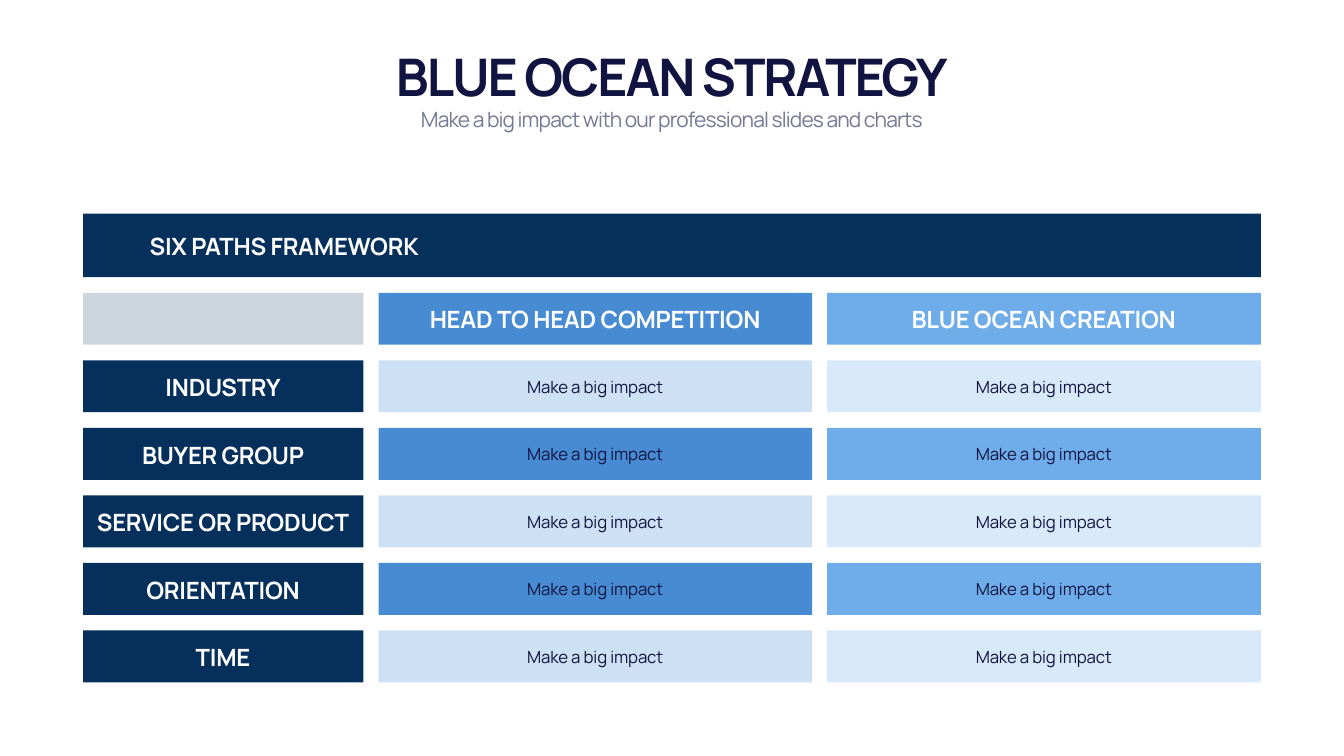
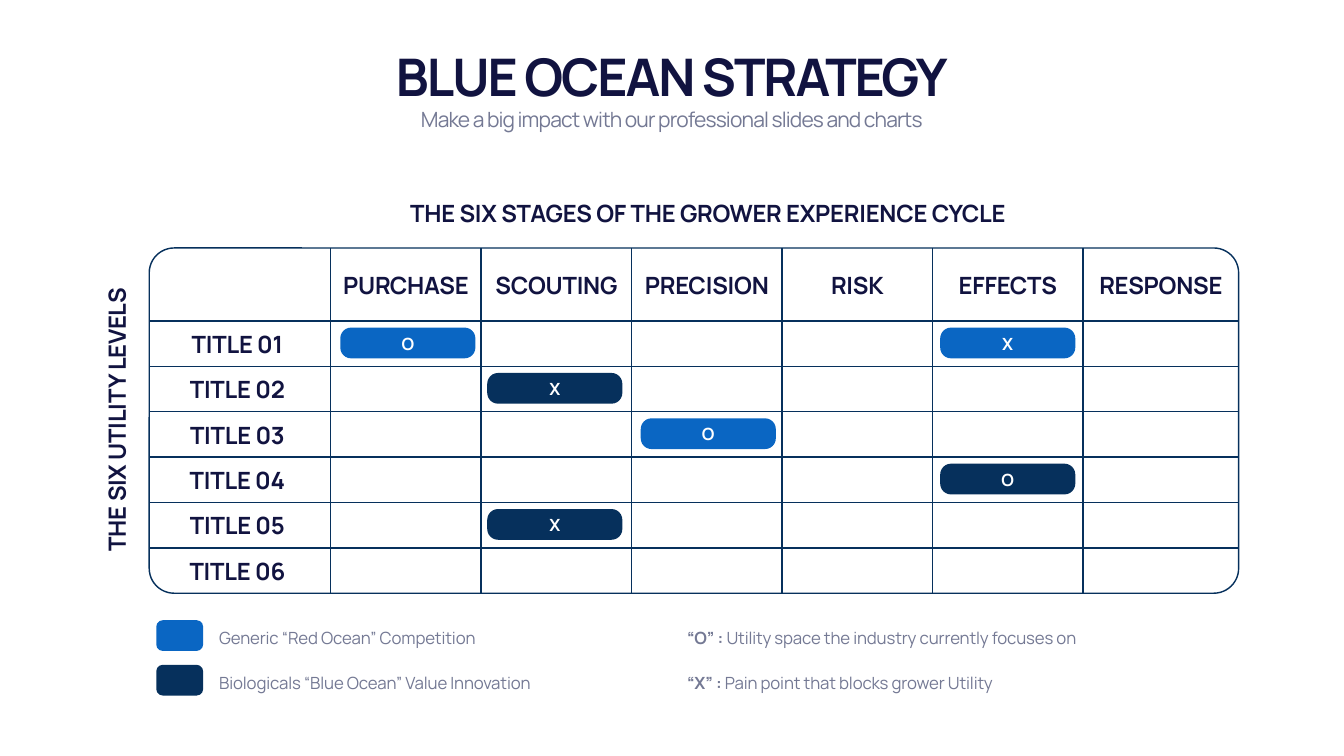
from collections import namedtuple

from lxml import etree
from pptx import Presentation
from pptx import util as u
from pptx.dml.color import RGBColor
from pptx.enum import shapes, text
from pptx.oxml import ns

COLORS = {"navy": "06305C", "blue": "0A66C3", "sky": "4091E3", "ink": "111340", "gray": "747994", "white": "FFFFFF"}
STYLES = {
    "title": {"size": 74, "bold": True, "color": "ink", "spacing": -290},
    "subtitle": {"size": 30, "bold": False, "color": "gray", "spacing": -120},
    "label": {"size": 34, "bold": True, "color": "white", "spacing": -30},
    "heading": {"size": 34, "bold": True, "color": "ink", "spacing": -30},
    "cell": {"size": 24, "bold": False, "color": "ink", "spacing": -20, "line": 36},
    "legend": {"size": 24, "bold": False, "color": "gray", "spacing": -20, "line": 36},
    "mark": {"size": 24, "bold": True, "color": "white", "spacing": -30},
}
LABEL_HEIGHT = 48.24
CELL_HEIGHT = 41.76
CENTER, LEFT = text.PP_ALIGN.CENTER, text.PP_ALIGN.LEFT
TOP, MIDDLE, BOTTOM = text.MSO_ANCHOR.TOP, text.MSO_ANCHOR.MIDDLE, text.MSO_ANCHOR.BOTTOM

Box = namedtuple("Box", "left top width height")


def rgb(name):
    """Return the named colour."""
    return RGBColor.from_string(COLORS[name])


def points(box):
    """Return the four lengths of a box in points."""
    return [u.Pt(value) for value in box]


def write(shape, words, style, align=CENTER, anchor=MIDDLE):
    """Write one paragraph; a leading (bold, rest) pair becomes two spans."""
    look = STYLES[style]
    frame = shape.text_frame
    for name, value in {"word_wrap": True, "auto_size": text.MSO_AUTO_SIZE.SHAPE_TO_FIT_TEXT,
                        "vertical_anchor": anchor}.items():
        setattr(frame, name, value)
    para = frame.paragraphs[0]
    for name, value in {"alignment": align, "space_before": u.Pt(0)}.items():
        setattr(para, name, value)
    if "line" in look:
        para.line_spacing = u.Pt(look["line"])
    spans = [(words, look["bold"])] if isinstance(words, str) else [(words[0], True), (words[1], False)]
    for content, bold in spans:
        span = para.add_run()
        span.text = content
        for name, value in {"name": "Manrope", "size": u.Pt(look["size"]), "bold": bold}.items():
            setattr(span.font, name, value)
        span.font.color.rgb = rgb(look["color"])
        span.font._element.set("spc", str(look["spacing"]))


def add_text(page, box, words, style, **layout):
    """Add a text box."""
    shape = page.shapes.add_textbox(*points(box))
    write(shape, words, style, **layout)
    return shape


def add_block(page, box, color, opacity=100, radius=None):
    """Add a filled rectangle, rounded when a radius is given."""
    kinds = shapes.MSO_SHAPE
    shape = page.shapes.add_shape(kinds.RECTANGLE if radius is None else kinds.ROUNDED_RECTANGLE, *points(box))
    if radius is not None:
        shape.adjustments[0] = radius
    shape.shadow.inherit = False
    shape.line.fill.background()
    shape.fill.solid()
    shape.fill.fore_color.rgb = rgb(color)
    if opacity < 100:
        tint = shape._element.spPr.find(".//" + ns.qn("a:srgbClr"))
        etree.SubElement(tint, ns.qn("a:alpha")).set("val", str(opacity * 1000))
    return shape


def add_rule(page, x1, y1, x2, y2):
    """Add a thin navy line."""
    rule = page.shapes.add_connector(shapes.MSO_CONNECTOR.STRAIGHT, *points((x1, y1, x2, y2)))
    rule.line.color.rgb = rgb("navy")
    rule.line.width = u.Pt(2)
    etree.SubElement(rule._element.spPr, ns.qn("a:effectLst"))


def add_page(deck):
    """Add a slide with the shared title and subtitle."""
    page = deck.slides.add_slide(deck.slide_layouts[0])
    headings = (
        (Box(119.52, 59.04, 1679.76, 97.2), "BLUE OCEAN STRATEGY", "title", BOTTOM),
        (Box(119.52, 149.04, 1679.76, 43.92), "Make a big impact with our professional slides and charts", "subtitle", TOP),
    )
    for holder, (box, words, style, anchor) in zip(page.placeholders, headings):
        for name, value in zip(Box._fields, points(box)):
            setattr(holder, name, value)
        write(holder, words, style, anchor=anchor)
    return page


def add_framework(page, box):
    """Draw the banner and the grid of six paths."""
    gap, first_width, row_height, row_step = 21.6, 400.32, 74.16, 96.48
    wide = (box.width - first_width - 2 * gap) / 2
    grid_top = box.top + 113.04
    columns = (
        ("blue", box.left + first_width + gap, "HEAD TO HEAD COMPETITION"),
        ("sky", box.left + first_width + wide + 2 * gap, "BLUE OCEAN CREATION"),
    )
    rows = ("", "INDUSTRY", "BUYER GROUP", "SERVICE OR PRODUCT", "ORIENTATION", "TIME")

    add_block(page, Box(box.left, box.top, box.width, 90.5), "navy")
    add_text(page, Box(box.left + 87.84, box.top + 21.6, 753.12, LABEL_HEIGHT), "SIX PATHS FRAMEWORK", "label", align=LEFT)
    for index, label in enumerate(rows):
        top = grid_top + index * row_step
        add_block(page, Box(box.left, top, first_width, row_height), "navy", 100 if label else 20)
        if label:
            add_text(page, Box(box.left + 5.76, top + 14.4, first_width - 12.24, LABEL_HEIGHT), label, "label")
        for color, left, heading in columns:
            add_block(page, Box(left, top, wide, row_height), color, 20 if index % 2 else 75)
            inner = left + 20.88, wide - 42.48
            if label:
                add_text(page, Box(inner[0], top + 12.96, inner[1], CELL_HEIGHT), "Make a big impact", "cell")
            else:
                add_text(page, Box(inner[0], top + 13.68, inner[1], LABEL_HEIGHT), heading, "label")


def add_utility_map(page, box):
    """Draw the framed grid of stages and utility levels with its marks."""
    stages = ("PURCHASE", "SCOUTING", "PRECISION", "RISK", "EFFECTS", "RESPONSE")
    row_height, first_width, column_width, levels = 64.8, 259.2, 214.92, 6
    right, bottom = box.left + box.width, box.top + box.height
    lefts = [box.left + first_width + i * column_width for i in range(len(stages))]
    tops = [bottom - (levels - i) * row_height for i in range(levels)]

    frame = add_block(page, box, "white", radius=0.072)
    frame.fill.background()
    frame.line.color.rgb = rgb("navy")
    frame.line.width = u.Pt(2)
    for left in lefts:
        add_rule(page, left, box.top, left, bottom)
    for top in tops:
        add_rule(page, box.left, top, right, top)

    for stage, left, edge in zip(stages, lefts, lefts[1:] + [right]):
        add_text(page, Box((left + edge - 205.2) / 2, box.top + 28.8, 205.2, LABEL_HEIGHT), stage, "heading")
    for number, top in enumerate(tops, 1):
        add_text(page, Box(box.left + 7.2, top + 8.64, 237.6, LABEL_HEIGHT), f"TITLE {number:02}", "heading")

    insets = {0: 13.68, 1: 8.64, 2: 12.96, 4: 10.8}
    marks = ((0, 0, "O", "blue"), (0, 4, "X", "blue"), (1, 1, "X", "navy"),
             (2, 2, "O", "blue"), (3, 4, "O", "navy"), (4, 1, "X", "navy"))
    for row, column, mark, color in marks:
        pill = Box(lefts[column] + insets[column], tops[row] + 9.36, 192.96, 43.92)
        add_block(page, pill, color, radius=0.35)
        add_text(page, Box(pill.left + 18.72, pill.top + 4.8, 155.52, 36), mark, "mark")


def add_axis_titles(page, box):
    """Name the two axes above and beside the map."""
    add_text(page, Box(box.left + 145.44, box.top - 73.44, 1305.36, LABEL_HEIGHT),
             "THE SIX STAGES OF THE GROWER EXPERIENCE CYCLE", "heading")
    side = add_text(page, Box(box.left - 264.24, box.top + 221.04, 434.88, LABEL_HEIGHT),
                    "THE SIX UTILITY LEVELS", "heading")
    side.rotation = 270


def add_legend(page, box):
    """Explain the colours and the marks in two columns."""
    entries = (
        ("blue", "Generic “Red Ocean” Competition", ("“O” : ", "Utility space the industry currently focuses on")),
        ("navy", "Biologicals “Blue Ocean” Value Innovation", ("“X” : ", "Pain point that blocks grower Utility")),
    )
    for index, (color, meaning, mark) in enumerate(entries):
        top = box.top + index * box.height / len(entries)
        add_block(page, Box(box.left, top, 66.96, 43.92), color, radius=0.21)
        for offset, words in ((82.8, meaning), (750.96, mark)):
            add_text(page, Box(box.left + offset, top, 614.88, CELL_HEIGHT), words, "legend", align=LEFT, anchor=TOP)


def main():
    """Build the two slides."""
    deck = Presentation()
    deck.slide_width, deck.slide_height = u.Pt(1919.52), u.Pt(1080)

    add_framework(add_page(deck), Box(118.8, 305.28, 1681.92, 669.6))

    page = add_page(deck)
    map_box = Box(213.12, 354.24, 1555.92, 493.2)
    add_utility_map(page, map_box)
    add_axis_titles(page, map_box)
    add_legend(page, Box(223.2, 886, 1365.84, 127.44))

    deck.save("out.pptx")


if __name__ == "__main__":
    main()
